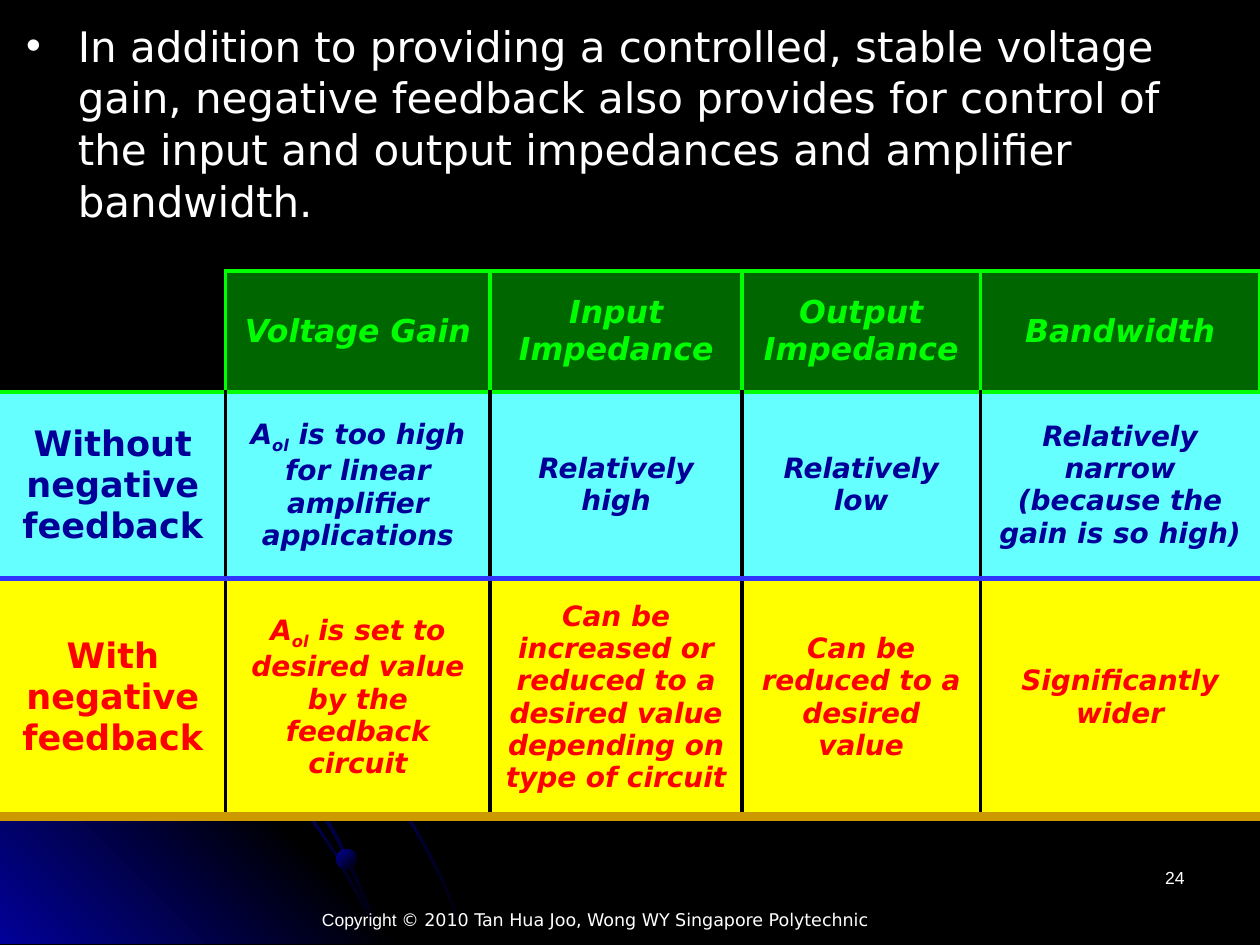
from dataclasses import dataclass

from lxml.etree import SubElement
from pptx import Presentation
from pptx.dml.color import RGBColor
from pptx.enum.shapes import MSO_SHAPE
from pptx.enum.text import MSO_ANCHOR, PP_ALIGN
from pptx.oxml import parse_xml
from pptx.oxml.ns import nsdecls, qn
from pptx.util import Cm, Pt


@dataclass(frozen=True)
class Theme:
    black: str = "000000"
    white: str = "FFFFFF"
    glow: str = "010199"
    green: str = "00FF00"
    dark_green: str = "006600"
    navy: str = "000099"
    cyan: str = "66FFFF"
    blue: str = "3333FF"
    red: str = "FF0000"
    yellow: str = "FFFF00"
    gold: str = "CC9900"
    font: str = "DejaVu Sans"
    footer_font: str = "Arial"
    lead: int = 24
    row_label: int = 20
    header: int = 18
    body: int = 16
    footer: int = 10


class SlideBuilder:
    def __init__(self, slide, theme):
        self.slide = slide
        self.theme = theme
        background = slide.background.fill
        background.solid()
        background.fore_color.rgb = RGBColor.from_string(theme.black)

    def style(self, font, size, color, name=None, bold=False, italic=False):
        font.name = name or self.theme.font
        font.size = Pt(size)
        font.bold = bold
        font.italic = italic
        font.color.rgb = RGBColor.from_string(color)

    def gradient(self, shape, colors, angle):
        shape.shadow.inherit = False
        shape.line.fill.background()
        shape.fill.gradient()
        last = len(colors) - 1
        stops = "".join(
            f'<a:gs pos="{100000 * index // last}"><a:srgbClr val="{color}"/></a:gs>'
            for index, color in enumerate(colors)
        )
        properties = shape._element.spPr
        properties.replace(
            properties.find(qn("a:gradFill")),
            parse_xml(
                f'<a:gradFill {nsdecls("a")} rotWithShape="1"><a:gsLst>{stops}</a:gsLst>'
                f'<a:lin ang="{angle * 60000}" scaled="0"/></a:gradFill>'
            ),
        )

    def outline(self, points, colors, angle):
        builder = self.slide.shapes.build_freeform(*points[0], scale=Cm(2.54) / 100)
        builder.add_line_segments(points[1:], close=True)
        self.gradient(builder.convert_to_shape(), colors, angle)

    def dot(self, left, top, size, angle):
        shape = self.slide.shapes.add_shape(
            MSO_SHAPE.OVAL, Cm(left), Cm(top), Cm(size), Cm(size)
        )
        self.gradient(shape, (self.theme.glow, self.theme.black), angle)

    def text(self, left, top, width, height, text, alignment=PP_ALIGN.LEFT):
        box = self.slide.shapes.add_textbox(Cm(left), Cm(top), Cm(width), Cm(height))
        box.text_frame.word_wrap = True
        paragraph = box.text_frame.paragraphs[0]
        paragraph.text = text
        paragraph.alignment = alignment
        return box.text_frame, paragraph

    def bullet(self, left, top, width, height, text):
        paragraph = self.text(left, top, width, height, text)[1]
        paragraph.line_spacing = 1.03
        properties = paragraph._p.get_or_add_pPr()
        properties.set("marL", str(Cm(1.04)))
        properties.set("indent", str(-Cm(1.04)))
        SubElement(properties, qn("a:buFont")).set("typeface", self.theme.footer_font)
        SubElement(properties, qn("a:buChar")).set("char", "•")
        self.style(paragraph.font, self.theme.lead, self.theme.white)

    def borders(self, cell, edges):
        properties = cell._tc.get_or_add_tcPr()
        for index, (side, edge) in enumerate(zip("LRTB", edges)):
            if edge:
                color, width = edge
                line = (
                    f'<a:ln{side} {nsdecls("a")} w="{Pt(width)}"><a:solidFill>'
                    f'<a:srgbClr val="{color}"/></a:solidFill></a:ln{side}>'
                )
            else:
                line = f'<a:ln{side} {nsdecls("a")} w="0"><a:noFill/></a:ln{side}>'
            properties.insert(index, parse_xml(line))

    def cell(self, cell, text, fill, size, color, italic):
        cell.vertical_anchor = MSO_ANCHOR.MIDDLE
        if not text:
            cell.fill.background()
            return
        cell.fill.solid()
        cell.fill.fore_color.rgb = RGBColor.from_string(fill)
        paragraph = cell.text_frame.paragraphs[0]
        paragraph.alignment = PP_ALIGN.CENTER
        self.style(paragraph.font, size, color, bold=True, italic=italic)
        for index, part in enumerate(text.split("_")):
            run = paragraph.add_run()
            run.text = part
            if index % 2:
                run.font._element.set("baseline", "-25000")

    def table(self, left, top, widths, heights, rows, palette):
        theme = self.theme
        table = self.slide.shapes.add_table(
            len(heights), len(widths), Cm(left), Cm(top), Cm(sum(widths)), Cm(sum(heights))
        ).table
        table.first_row = table.horz_banding = False
        for column, width in zip(table.columns, widths):
            column.width = Cm(width)
        for row, height in zip(table.rows, heights):
            row.height = Cm(height)
        green, black = (theme.green, 2.25), (theme.black, 2.25)
        rules = (green, green, (theme.blue, 3), (theme.gold, 6))
        last = len(widths) - 1
        for i, (texts, (fill, color)) in enumerate(zip(rows, palette)):
            for j, text in enumerate(texts):
                label = j == 0
                size = theme.header if i == 0 else theme.row_label if label else theme.body
                cell = table.cell(i, j)
                self.cell(cell, text, fill, size, color, not label)
                inner = black if i else green
                self.borders(cell, (
                    None if label else inner,
                    None if i and j == last else inner,
                    rules[i] if text else None,
                    rules[i + 1],
                ))


ARCS = (
    ((57, 447), (28, 441), (0, 435), (0, 438), (28, 443), (56, 449), (97, 461),
     (135, 478), (173, 499), (208, 523), (241, 549), (271, 579), (298, 612),
     (323, 649), (337, 673), (350, 698), (360, 723), (370, 749), (372, 749),
     (362, 723), (352, 698), (339, 673), (325, 648), (300, 611), (272, 578),
     (242, 548), (209, 521), (174, 497), (136, 477), (98, 459)),
    ((285, 714), (294, 732), (301, 749), (303, 749), (296, 730), (286, 712),
     (266, 676), (242, 640), (215, 606), (184, 576), (152, 549), (117, 526),
     (79, 505), (41, 488), (0, 475), (0, 477), (39, 490), (77, 507), (115, 528),
     (150, 551), (183, 578), (213, 608), (240, 641), (265, 677)),
    ((0, 442), (0, 444), (36, 457), (74, 475), (109, 494), (142, 518), (173, 544),
     (202, 575), (227, 605), (252, 641), (267, 667), (280, 694), (292, 722),
     (301, 749), (303, 749), (294, 720), (282, 693), (269, 665), (254, 639),
     (229, 603), (204, 573), (175, 543), (144, 516), (111, 493), (76, 473), (39, 455)),
)
CORNER = ((322, 749), (0, 749), (0, 427))
DOTS = ((0.91, 12.27, 0.38, 315), (6.78, 17.12, 0.41, 45), (3.48, 12.01, 0.53, 315))
ROWS = (
    ("", "Voltage Gain", "Input Impedance", "Output Impedance", "Bandwidth"),
    ("Without negative feedback", "A_ol_ is too high for linear amplifier applications",
     "Relatively high", "Relatively low",
     "Relatively narrow (because the gain is so high)"),
    ("With negative feedback", "A_ol_ is set to desired value by the feedback circuit",
     "Can be increased or reduced to a desired value depending on type of circuit",
     "Can be reduced to a desired value", "Significantly wider"),
)


def main():
    theme = Theme()
    presentation = Presentation()
    presentation.slide_width, presentation.slide_height = Cm(25.4), Cm(19.05)
    builder = SlideBuilder(
        presentation.slides.add_slide(presentation.slide_layouts[6]), theme
    )

    streak = (theme.black, theme.glow, theme.black)
    builder.outline(ARCS[0], streak, 45)
    builder.outline(CORNER, (theme.glow, theme.black, theme.glow), 315)
    for arc in ARCS[1:]:
        builder.outline(arc, streak, 45)
    for dot in DOTS:
        builder.dot(*dot)

    frame, paragraph = builder.text(4.39, 17.78, 15.21, 1.27, "", PP_ALIGN.CENTER)
    frame.margin_top = Cm(0.54)
    for text, name in (
        ("Copyright ", theme.footer_font),
        ("© 2010 Tan Hua Joo, Wong WY Singapore Polytechnic", theme.font),
    ):
        run = paragraph.add_run()
        run.text = text
        builder.style(run.font, theme.footer, theme.white, name)

    builder.bullet(
        0.28, 0.25, 23.88, 4.32,
        "In addition to providing a controlled, stable voltage gain, negative feedback "
        "also provides for control of the input and output impedances and amplifier "
        "bandwidth.",
    )
    builder.table(
        0, 5.46, (4.55, 5.33, 5.08, 4.8, 5.64), (2.44, 3.76, 4.8), ROWS,
        ((theme.dark_green, theme.green), (theme.cyan, theme.navy), (theme.yellow, theme.red)),
    )
    paragraph = builder.text(18.21, 17.35, 5.92, 1.27, "24", PP_ALIGN.RIGHT)[1]
    builder.style(paragraph.font, theme.footer, theme.white, theme.footer_font)

    presentation.save("out.pptx")


if __name__ == "__main__":
    main()
